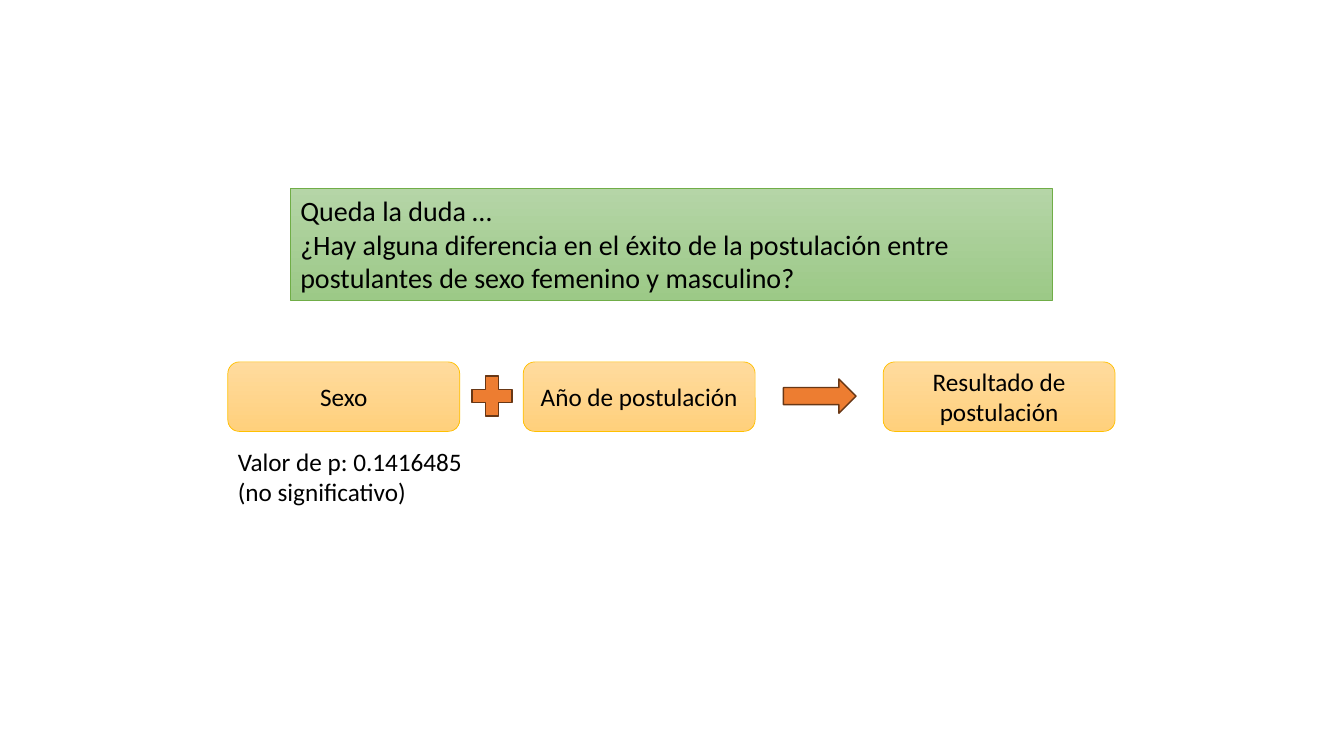
from dataclasses import dataclass

import pptx
import pptx.dml.color
import pptx.enum.shapes
import pptx.enum.text
import pptx.util

EMU_PER_PX = 9144  # 100 px to the inch
SHAPE = pptx.enum.shapes.MSO_SHAPE
ALIGN = pptx.enum.text.PP_ALIGN
ANCHOR = pptx.enum.text.MSO_ANCHOR
AUTO_SIZE = pptx.enum.text.MSO_AUTO_SIZE


@dataclass(frozen=True)
class Theme:
    font: str = "Calibri"
    text: str = "000000"
    question_size: int = 20
    label_size: int = 18
    question_fill: tuple[str, str] = ("B5D5A7", "9CC987")
    question_line: str = "70AD47"
    factor_fill: tuple[str, str] = ("FFDB9E", "FFD07C")
    factor_line: str = "FFC000"
    sign_fill: str = "ED7D31"
    sign_line: str = "683715"


@dataclass(frozen=True)
class Box:
    left: int
    top: int
    width: int
    height: int

    def emu(self) -> list[int]:
        return [v * EMU_PER_PX for v in (self.left, self.top, self.width, self.height)]


@dataclass(frozen=True)
class Factor:
    text: str
    left: int


@dataclass(frozen=True)
class Sign:
    kind: SHAPE
    box: Box


THEME = Theme()
FACTOR_TOP, FACTOR_WIDTH, FACTOR_HEIGHT = 359, 230, 69
QUESTION = [
    "Queda la duda …",
    "¿Hay alguna diferencia en el éxito de la postulación entre "
    "postulantes de sexo femenino y masculino?",
]
FACTORS = [
    Factor("Sexo", 226),
    Factor("Año de postulación", 519),
    Factor("Resultado de postulación", 876),
]
SIGNS = [
    Sign(SHAPE.MATH_PLUS, Box(461, 366, 54, 54)),
    Sign(SHAPE.RIGHT_ARROW, Box(777, 376, 72, 34)),
]


def rgb(value: str) -> pptx.dml.color.RGBColor:
    return pptx.dml.color.RGBColor.from_string(value)


def add_shape(slide, kind: SHAPE, box: Box, fill: str | tuple[str, str],
              line: str, line_width: float):
    """Add a preset shape with a plain fill or a top-to-bottom gradient."""
    sp = slide.shapes.add_shape(kind, *box.emu())
    sp.shadow.inherit = False
    if isinstance(fill, str):
        sp.fill.solid()
        sp.fill.fore_color.rgb = rgb(fill)
    else:
        sp.fill.gradient()
        sp.fill.gradient_angle = 270
        for stop, color in zip(sp.fill.gradient_stops, fill):
            stop.color.rgb = rgb(color)
    sp.line.color.rgb = rgb(line)
    sp.line.width = pptx.util.Pt(line_width)
    return sp


def write(sp, paragraphs: list[str], *, size: int, align: ALIGN = ALIGN.LEFT,
          anchor: ANCHOR = ANCHOR.TOP, grow: bool = False) -> None:
    """Fill a shape with paragraphs; a newline inside one breaks the line."""
    tf = sp.text_frame
    tf.word_wrap = True
    tf.vertical_anchor = anchor
    tf.auto_size = AUTO_SIZE.SHAPE_TO_FIT_TEXT if grow else AUTO_SIZE.NONE
    for i, text in enumerate(paragraphs):
        p = tf.add_paragraph() if i else tf.paragraphs[0]
        p.text = text
        p.alignment = align
        for r in p.runs:
            r.font.name = THEME.font
            r.font.size = pptx.util.Pt(size)
            r.font.color.rgb = rgb(THEME.text)


def main() -> None:
    prs = pptx.Presentation()
    prs.slide_width = 1333 * EMU_PER_PX
    prs.slide_height = 750 * EMU_PER_PX
    slide = prs.slides.add_slide(prs.slide_layouts.get_by_name("Blank"))

    # Question
    sp = add_shape(slide, SHAPE.RECTANGLE, Box(288, 187, 756, 111),
                   THEME.question_fill, THEME.question_line, 0.5)
    write(sp, QUESTION, size=THEME.question_size, grow=True)

    # Factors and result
    for factor in FACTORS:
        box = Box(factor.left, FACTOR_TOP, FACTOR_WIDTH, FACTOR_HEIGHT)
        sp = add_shape(slide, SHAPE.ROUNDED_RECTANGLE, box,
                       THEME.factor_fill, THEME.factor_line, 0.5)
        write(sp, [factor.text], size=THEME.label_size,
              align=ALIGN.CENTER, anchor=ANCHOR.MIDDLE)

    # Plus and arrow
    for sign in SIGNS:
        add_shape(slide, sign.kind, sign.box, THEME.sign_fill, THEME.sign_line, 1)

    # Test result
    sp = slide.shapes.add_textbox(*Box(226, 438, 311, 71).emu())
    write(sp, ["Valor de p: 0.1416485\n(no significativo)"],
          size=THEME.label_size, grow=True)

    prs.save("out.pptx")


if __name__ == "__main__":
    main()
